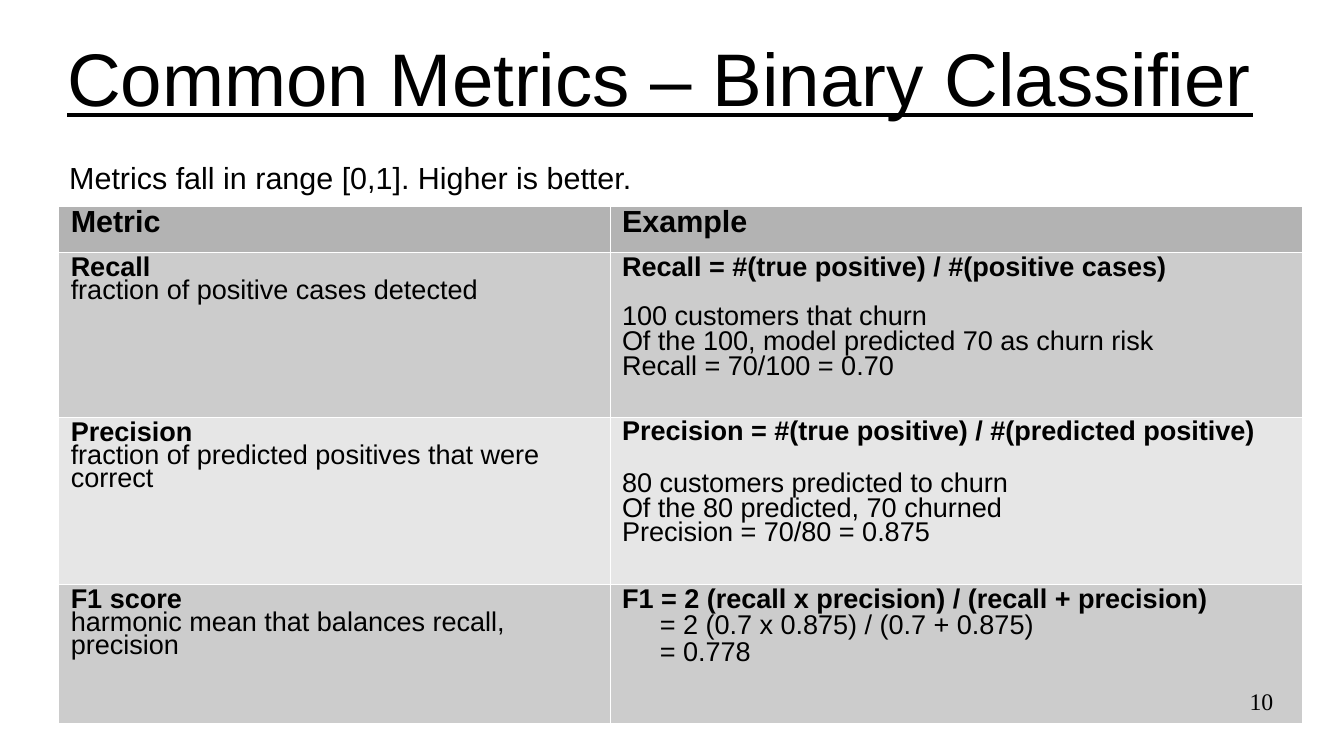
from dataclasses import dataclass

from lxml import etree
from pptx import Presentation, util as u
from pptx.dml.color import RGBColor
from pptx.enum import text
from pptx.oxml.ns import qn


@dataclass(frozen=True)
class Theme:
    ink: str = "000000"
    rule: str = "FFFFFF"
    header: str = "B3B3B3"
    bands: tuple[str, str] = ("CCCCCC", "E6E6E6")
    sans: str = "Arial"
    serif: str = "Times New Roman"
    title: int = 44
    lead: int = 18
    body: int = 16
    number: int = 14


@dataclass(frozen=True)
class Spacing:
    line: float
    before: float
    after: float


THEME = Theme()
WIDTH, HEIGHT = u.Inches(11.02), u.Inches(6.2)
COLUMN, ROW = WIDTH / 100, HEIGHT / 100
OPEN = Spacing(0.93, 1.8, 1.8)
TIGHT = Spacing(0.76, 0.5, 0.5)
TIGHT_GAP = Spacing(0.76, 0.5, 15)
DENSE = Spacing(0.71, 1.8, 1.8)
DENSE_GAP = Spacing(0.71, 1.8, 17)


@dataclass(frozen=True)
class Area:
    column: float
    row: float
    columns: float
    rows: float

    def lengths(self) -> tuple[int, int, int, int]:
        return (round(self.column * COLUMN), round(self.row * ROW),
                round(self.columns * COLUMN), round(self.rows * ROW))


@dataclass(frozen=True)
class Line:
    words: str
    size: int = THEME.body
    spacing: Spacing = TIGHT
    bold: bool = False
    underline: bool = False
    font: str = THEME.sans
    align: text.PP_ALIGN = text.PP_ALIGN.LEFT
    indent: float = 0


@dataclass(frozen=True)
class Label:
    area: Area
    line: Line
    insets: tuple[float, float, float, float] = (0, 0, 0, 0)
    anchor: text.MSO_ANCHOR = text.MSO_ANCHOR.TOP


@dataclass(frozen=True)
class Metric:
    name: str
    meaning: str
    rows: float
    example: tuple[Line, ...]


LABELS = (
    Label(Area(4.99, 2.1, 90.02, 16.77),
          Line("Common Metrics – Binary Classifier", THEME.title, OPEN, underline=True),
          (0, 0.04, 0, 0), text.MSO_ANCHOR.MIDDLE),
    Label(Area(4.26, 20.65, 58.98, 6.13),
          Line("Metrics fall in range [0,1]. Higher is better.", THEME.lead, OPEN),
          (0.1, 0.05, 0.1, 0.05)),
    Label(Area(71.69, 91.13, 23.05, 6.45),
          Line("10", THEME.number, OPEN, font=THEME.serif, align=text.PP_ALIGN.RIGHT)),
)
HEADINGS = ("Metric", "Example")
HEADING_ROWS = 6.13
TABLE_COLUMNS = (41.02, 51.54)
METRICS = (
    Metric("Recall", "fraction of positive cases detected", 21.77, (
        Line("Recall = #(true positive) / #(positive cases)", spacing=TIGHT_GAP, bold=True),
        Line("100 customers that churn"),
        Line("Of the 100, model predicted 70 as churn risk"),
        Line("Recall = 70/100 = 0.70"))),
    Metric("Precision", "fraction of predicted positives that were correct", 22.1, (
        Line("Precision = #(true positive) / #(predicted positive)", spacing=DENSE_GAP, bold=True),
        Line("80 customers predicted to churn"),
        Line("Of the 80 predicted, 70 churned"),
        Line("Precision = 70/80 = 0.875"))),
    Metric("F1 score", "harmonic mean that balances recall, precision", 18.39, (
        Line("F1 = 2 (recall x precision) / (recall + precision)", bold=True),
        Line("= 2 (0.7 x 0.875) / (0.7 + 0.875)", spacing=DENSE, indent=0.31),
        Line("= 0.778", spacing=DENSE, indent=0.31))),
)


def write_line(para, line: Line) -> None:
    para.text = line.words
    para.alignment = line.align
    para.line_spacing = line.spacing.line
    para.space_before = u.Pt(line.spacing.before)
    para.space_after = u.Pt(line.spacing.after)
    if line.indent:
        properties = para._p.get_or_add_pPr()
        properties.set("marL", str(u.Inches(line.indent)))
        properties.set("indent", "0")
    for span in para.runs:
        span.font.name = line.font
        span.font.size = u.Pt(line.size)
        span.font.bold = line.bold
        span.font.underline = line.underline
        span.font.color.rgb = RGBColor.from_string(THEME.ink)
    for line_break in para._p.findall(qn("a:br")):
        etree.SubElement(line_break, qn("a:rPr")).set("sz", str(line.size * 100))


def draw_label(page, label: Label) -> None:
    box = page.shapes.add_textbox(*label.area.lengths())
    frame = box.text_frame
    frame.word_wrap = True
    frame.vertical_anchor = label.anchor
    (frame.margin_left, frame.margin_top,
     frame.margin_right, frame.margin_bottom) = map(u.Inches, label.insets)
    write_line(frame.paragraphs[0], label.line)


def fill_cell(cell, lines: tuple[Line, ...], fill: str) -> None:
    frame = cell.text_frame
    frame.text = "\n".join(line.words for line in lines)
    for para, line in zip(frame.paragraphs, lines):
        write_line(para, line)
    properties = cell._tc.get_or_add_tcPr()
    for side in ("a:lnL", "a:lnR", "a:lnT", "a:lnB"):
        border = etree.SubElement(properties, qn(side), w=str(u.Pt(0.06)))
        paint = etree.SubElement(border, qn("a:solidFill"))
        etree.SubElement(paint, qn("a:srgbClr"), val=THEME.rule)
    cell.fill.solid()
    cell.fill.fore_color.rgb = RGBColor.from_string(fill)


def draw_table(page) -> None:
    heights = (HEADING_ROWS, *(metric.rows for metric in METRICS))
    area = Area(4.36, 27.26, sum(TABLE_COLUMNS), sum(heights))
    table = page.shapes.add_table(len(heights), len(TABLE_COLUMNS), *area.lengths()).table
    table.first_row = table.horz_banding = False
    for column, share in zip(table.columns, TABLE_COLUMNS):
        column.width = round(share * COLUMN)
    for row, share in zip(table.rows, heights):
        row.height = round(share * ROW)
    for index, heading in enumerate(HEADINGS):
        fill_cell(table.cell(0, index), (Line(heading, THEME.lead, bold=True),), THEME.header)
    for index, metric in enumerate(METRICS):
        fill = THEME.bands[index % len(THEME.bands)]
        name_cell = table.cell(index + 1, 0)
        fill_cell(name_cell, (Line(f"{metric.name}\v{metric.meaning}", bold=True),), fill)
        name_cell.text_frame.paragraphs[0].runs[1].font.bold = False
        fill_cell(table.cell(index + 1, 1), metric.example, fill)


def main() -> None:
    deck = Presentation()
    deck.slide_width, deck.slide_height = WIDTH, HEIGHT
    page = deck.slides.add_slide(deck.slide_layouts[6])
    draw_table(page)
    for label in LABELS:
        draw_label(page, label)
    deck.save("out.pptx")


if __name__ == "__main__":
    main()
